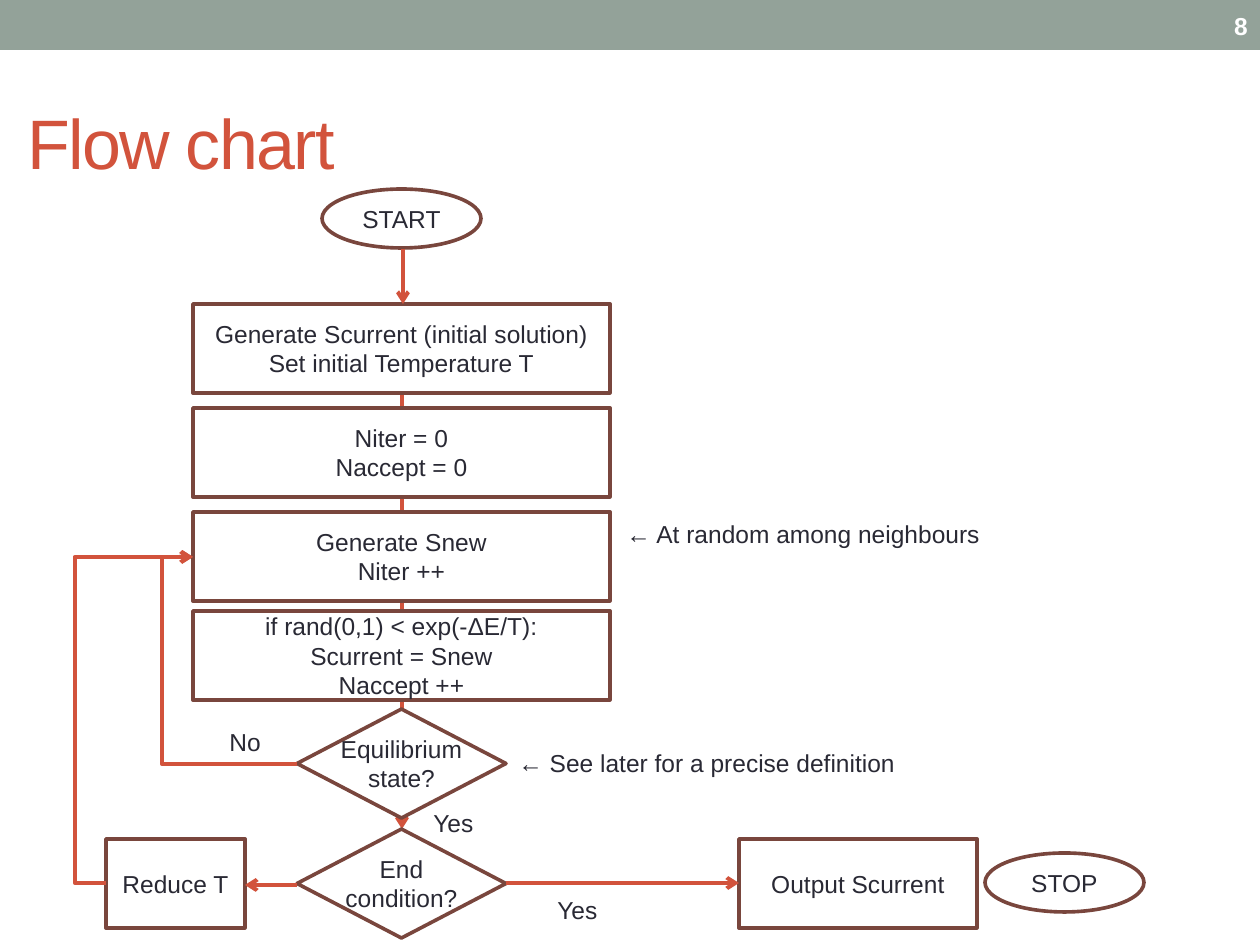
from dataclasses import dataclass
from typing import Optional

import pptx
import pptx.dml.color
import pptx.enum.shapes
import pptx.enum.text
import pptx.oxml
import pptx.oxml.ns
import pptx.util

PX_PER_INCH = 126
RGBColor = pptx.dml.color.RGBColor
SAGE = RGBColor(0x93, 0xA2, 0x99)
RUST = RGBColor(0xD2, 0x53, 0x3C)
BROWN = RGBColor(0x79, 0x46, 0x3D)
INK = RGBColor(0x29, 0x29, 0x34)
WHITE = RGBColor(0xFF, 0xFF, 0xFF)

SHAPE = pptx.enum.shapes.MSO_SHAPE
CONNECTOR = pptx.enum.shapes.MSO_CONNECTOR
ALIGN = pptx.enum.text.PP_ALIGN
MIDDLE = pptx.enum.text.MSO_ANCHOR.MIDDLE
AUTO_SIZE = pptx.enum.text.MSO_AUTO_SIZE


@dataclass
class Step:
    kind: SHAPE
    left: int
    top: int
    width: int
    height: int
    paragraphs: tuple[str, ...]


@dataclass
class Note:
    left: int
    top: int
    width: int
    text: str


@dataclass
class Arrow:
    start: tuple[int, int]
    end: tuple[int, int]
    bend: Optional[float] = None  # elbow position as a share of the width


def px(length: int) -> int:
    return round(length * pptx.util.Inches(1) / PX_PER_INCH)


def add_run(para, text: str, size: int = 14, color: RGBColor = INK, bold: bool = False):
    span = para.add_run()
    span.text = text
    span.font.name = "Arial"
    span.font.size = pptx.util.Pt(size)
    span.font.color.rgb = color
    span.font.bold = bold
    return span


def add_step(page, step: Step) -> None:
    box = page.shapes.add_shape(
        step.kind, px(step.left), px(step.top), px(step.width), px(step.height))
    box.shadow.inherit = False
    box.fill.solid()
    box.fill.fore_color.rgb = WHITE
    box.line.color.rgb = BROWN
    box.line.width = pptx.util.Pt(2.08)
    frame = box.text_frame
    frame.vertical_anchor = MIDDLE
    frame.word_wrap = step.kind != SHAPE.DIAMOND
    for index, text in enumerate(step.paragraphs):
        para = frame.add_paragraph() if index else frame.paragraphs[0]
        para.alignment = ALIGN.CENTER
        for row, line in enumerate(text.split("\n")):
            if row:
                para.add_line_break()
            add_run(para, line)


def add_note(page, note: Note) -> None:
    box = page.shapes.add_textbox(px(note.left), px(note.top), px(note.width), px(43))
    box.text_frame.word_wrap = False
    box.text_frame.auto_size = AUTO_SIZE.SHAPE_TO_FIT_TEXT
    add_run(box.text_frame.paragraphs[0], note.text)


def add_arrow(page, arrow: Arrow) -> None:
    kind = CONNECTOR.STRAIGHT if arrow.bend is None else CONNECTOR.ELBOW
    line = page.shapes.add_connector(
        kind, *(px(value) for value in arrow.start + arrow.end))
    line.line.color.rgb = RUST
    line.line.width = pptx.util.Pt(2.25)
    properties = line._element.spPr
    if arrow.bend is not None:
        guides = properties.find(pptx.oxml.ns.qn("a:prstGeom")).get_or_add_avLst()
        guides.append(pptx.oxml.parse_xml(
            f'<a:gd {pptx.oxml.ns.nsdecls("a")} name="adj1" '
            f'fmla="val {round(arrow.bend * 100000)}"/>'))
    line.line._get_or_add_ln().append(pptx.oxml.parse_xml(
        f'<a:tailEnd {pptx.oxml.ns.nsdecls("a")} type="arrow"/>'))
    properties.append(pptx.oxml.parse_xml(
        f'<a:effectLst {pptx.oxml.ns.nsdecls("a")}/>'))


def add_header(page) -> None:
    band = page.shapes.add_shape(SHAPE.RECTANGLE, 0, 0, px(1260), px(50))
    band.shadow.inherit = False
    band.fill.solid()
    band.fill.fore_color.rgb = SAGE
    band.line.fill.background()

    title = page.shapes.title
    title.left, title.top, title.width, title.height = map(px, (15, 73, 1230, 136))
    title.text_frame.vertical_anchor = MIDDLE
    title.text_frame.auto_size = AUTO_SIZE.NONE
    para = title.text_frame.paragraphs[0]
    para.alignment = ALIGN.LEFT
    span = add_run(para, "Flow chart", 40, RUST)
    span.font._element.set("spc", "-100")

    number = page.shapes.add_textbox(px(1113), px(3), px(147), px(45))
    number.text_frame.word_wrap = True
    number.text_frame.vertical_anchor = MIDDLE
    para = number.text_frame.paragraphs[0]
    para.alignment = ALIGN.RIGHT
    add_run(para, "8", color=WHITE, bold=True)


def process(top: int, *paragraphs: str) -> Step:
    return Step(SHAPE.RECTANGLE, 193, top, 417, 89, paragraphs)


def decision(top: int, *paragraphs: str) -> Step:
    return Step(SHAPE.DIAMOND, 297, top, 209, 109, paragraphs)


def terminal(left: int, top: int, text: str) -> Step:
    return Step(SHAPE.OVAL, left, top, 159, 59, (text,))


STEPS = [
    terminal(322, 189, "START"),
    process(304, "Generate Scurrent (initial solution)", "Set initial Temperature T"),
    process(408, "Niter = 0", "Naccept = 0"),
    process(512, "Generate Snew", "Niter ++"),
    process(611, "if rand(0,1) < exp(-ΔE/T):", "Scurrent = Snew", "Naccept ++"),
    decision(709, "Equilibrium\nstate?"),
    decision(829, "End", "condition?"),
    Step(SHAPE.RECTANGLE, 106, 839, 139, 89, ("Reduce T",)),
    Step(SHAPE.RECTANGLE, 739, 839, 238, 89, ("Output Scurrent",)),
    terminal(985, 853, "STOP"),
]
NOTES = [
    Note(614, 513, 380, "← At random among neighbours"),
    Note(506, 742, 403, "← See later for a precise definition"),
    Note(217, 721, 57, "No"),
    Note(421, 802, 66, "Yes"),
    Note(545, 889, 66, "Yes"),
]
SPINE = Arrow((402, 393), (402, 829))
ARROWS = [
    Arrow((403, 249), (403, 304)),
    Arrow((297, 764), (193, 557), 1.3),
    Arrow((106, 883), (193, 557), -0.36),
    Arrow((297, 885), (245, 885)),
    Arrow((506, 883), (739, 883)),
]


def main() -> None:
    deck = pptx.Presentation()
    deck.slide_width, deck.slide_height = px(1260), px(945)
    page = deck.slides.add_slide(deck.slide_layouts[5])
    add_header(page)

    # The spine runs behind the steps it joins
    add_arrow(page, SPINE)
    for step in STEPS:
        add_step(page, step)
    for note in NOTES:
        add_note(page, note)
    for arrow in ARROWS:
        add_arrow(page, arrow)
    deck.save("out.pptx")


if __name__ == "__main__":
    main()
